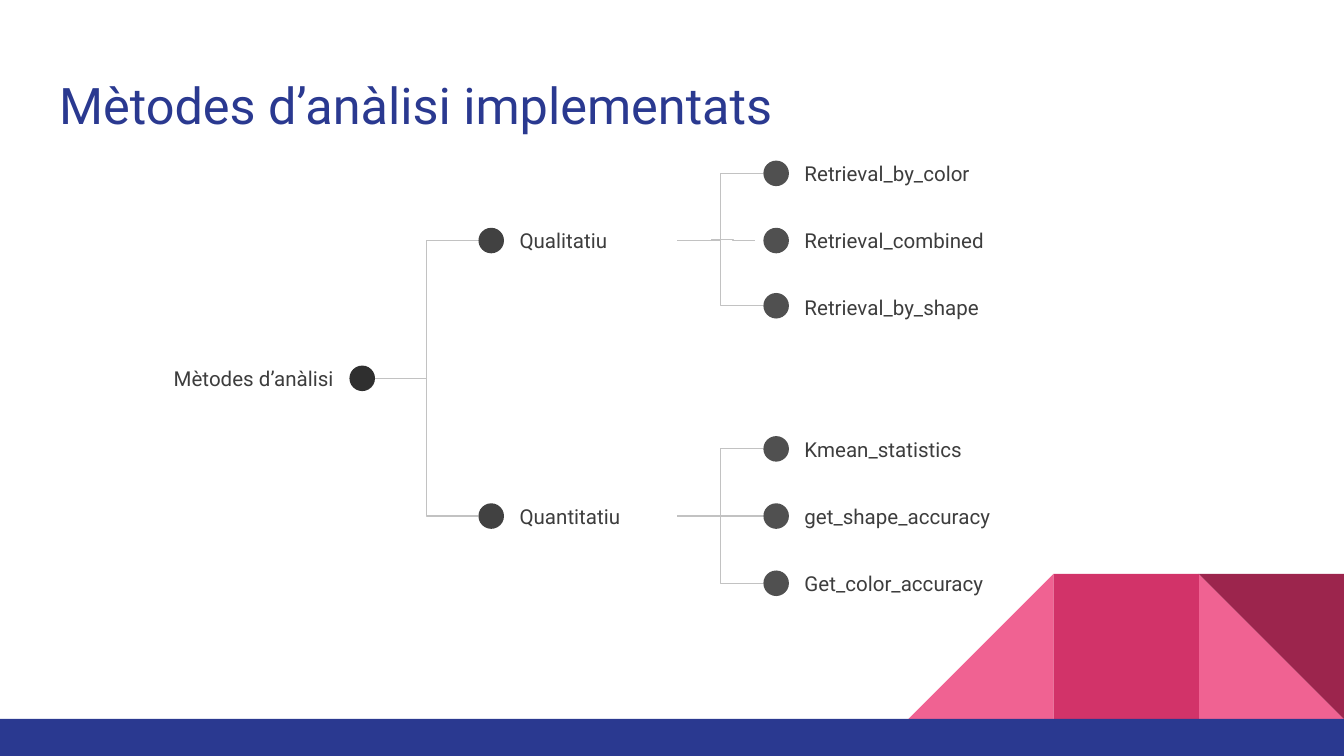
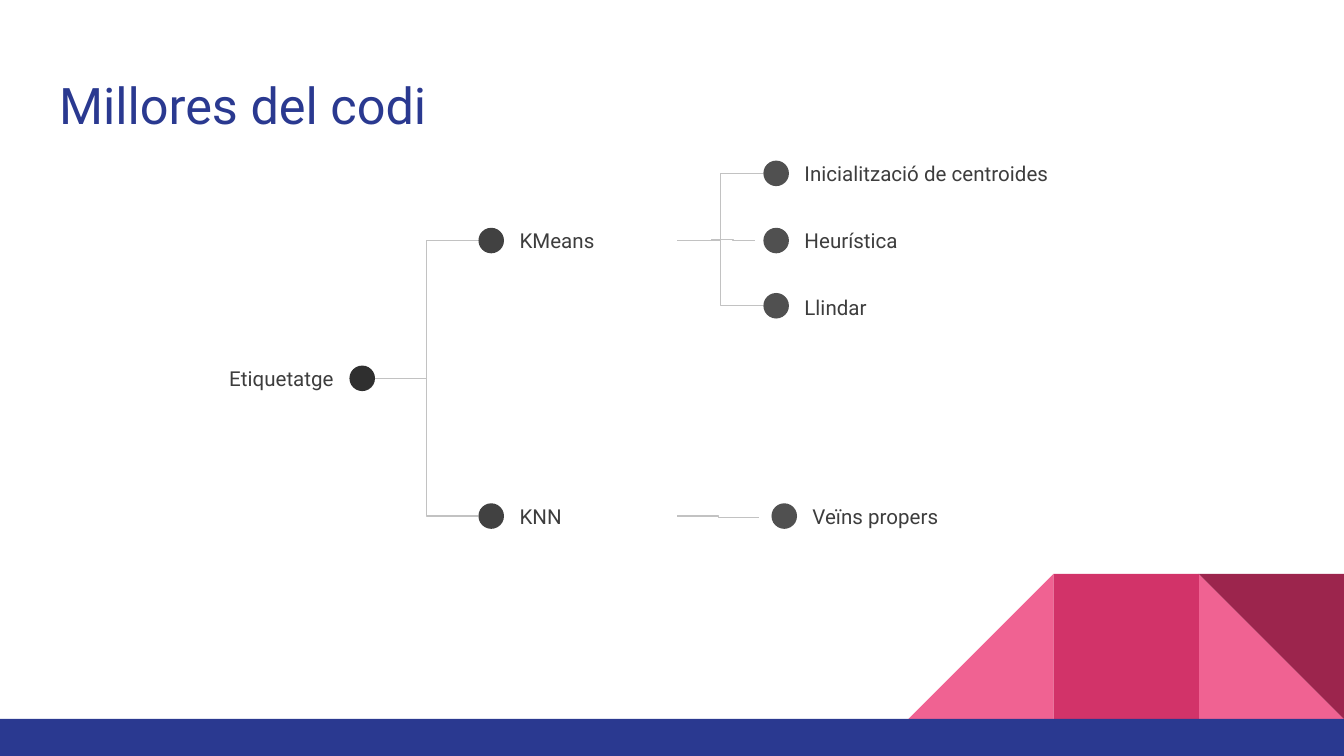
from dataclasses import dataclass

from lxml import etree
from pptx import Presentation
from pptx import util as u
from pptx.dml.color import RGBColor
from pptx.enum import shapes, text
from pptx.oxml.ns import qn


@dataclass(frozen=True)
class Theme:
    """Colours, font and type sizes shared by the slides."""
    font: str = "Roboto"
    title_size: int = 27
    label_size: int = 11
    navy: str = "2A3990"
    pink: str = "F06292"
    rose: str = "D23369"
    wine: str = "9C254D"
    ink: str = "3D3D3D"
    line: str = "C2C2C2"
    root_dot: str = "2F2F2F"
    branch_dot: str = "414141"
    leaf_dot: str = "505050"


@dataclass(frozen=True)
class Grid:
    """A box in inches, divided into columns and rows."""
    left: float
    top: float
    width: float
    height: float
    cols: int
    rows: int

    def x(self, col):
        """Return the horizontal place of a column."""
        return u.Inches(self.left + self.width * col / self.cols)

    def y(self, row):
        """Return the vertical place of a row."""
        return u.Inches(self.top + self.height * row / self.rows)

    def area(self, col, row, cols, rows):
        """Return left, top, width and height of a span of cells."""
        x, y = self.x(col), self.y(row)
        return x, y, self.x(col + cols) - x, self.y(row + rows) - y


@dataclass(frozen=True)
class Leaf:
    """A last-level node; link holds column and row offsets from its branch."""
    label: str
    row: float
    cols: float
    shift: float = 0
    dot_drop: float = 0
    link: tuple = ()


@dataclass(frozen=True)
class Branch:
    """A middle node with its leaves."""
    label: str
    row: float
    leaves: tuple


THEME = Theme()
WIDTH, HEIGHT = 10, 5.625
PAGE = Grid(0, 0, WIDTH, HEIGHT, 100, 100)
BLOCKS = Grid(6.76, 4.27, 3.24, 1.08, 3, 1)
TREE = Grid(0, 1.29, WIDTH, 3, 100, 6)
DOT, LABEL_ROWS = 1.9, 0.7
ROOT_DOT, BRANCH_DOT, LEAF_DOT = 26, 35.6, 56.8
BRANCH_COLS, ROOT_COLS = 12.9, 21.3
BRANCH_END = BRANCH_DOT + DOT + BRANCH_COLS
ROOT_ROW, UPPER_ROW, LOWER_ROW = 3.05, 1, 5.1
STUB = (2.5, -0.02, 5.8, 0)


def add_run(p, label, size, color):
    """Add one formatted run to a paragraph."""
    r = p.add_run()
    r.text = label
    r.font.name, r.font.size = THEME.font, u.Pt(size)
    r.font.color.rgb = RGBColor.from_string(color)


def add_shape(parent, kind, area, color=None):
    """Add a preset shape without outline or shadow."""
    sp = parent.add_shape(kind, *area)
    sp.shadow.inherit = False
    sp.line.fill.background()
    if color:
        sp.fill.solid()
        sp.fill.fore_color.rgb = RGBColor.from_string(color)
    else:
        sp.fill.background()
    return sp


def set_insets(tf):
    """Give a text frame equal insets."""
    tf.margin_left = tf.margin_right = tf.margin_top = tf.margin_bottom = u.Inches(0.1)


def add_decor(s, page, blocks):
    """Draw the corner blocks and the bottom band."""
    kinds = shapes.MSO_SHAPE
    add_shape(s.shapes, kinds.RIGHT_TRIANGLE, blocks.area(2, 0, 1, 1), THEME.pink)
    slope = add_shape(s.shapes, kinds.RIGHT_TRIANGLE, blocks.area(0, 0, 1, 1), THEME.pink)
    slope.element.spPr.xfrm.set("flipH", "1")
    add_shape(s.shapes, kinds.RECTANGLE, blocks.area(1, 0, 1, 1), THEME.rose)
    corner = add_shape(s.shapes, kinds.RIGHT_TRIANGLE, blocks.area(2, 0, 1, 1), THEME.wine)
    corner.rotation = 180
    add_shape(s.shapes, kinds.RECTANGLE, page.area(0, 95.1, 100, 4.9), THEME.navy)


def add_title(s, page, label):
    """Place and format the title placeholder."""
    sp = s.shapes.title
    sp.left, sp.top, sp.width, sp.height = page.area(3.4, 8, 93.2, 11.7)
    tf = sp.text_frame
    set_insets(tf)
    tf.word_wrap = True
    tf.auto_size = text.MSO_AUTO_SIZE.NONE
    tf.vertical_anchor = text.MSO_ANCHOR.TOP
    p = tf.paragraphs[0]
    p.alignment = text.PP_ALIGN.LEFT
    add_run(p, label, THEME.title_size, THEME.navy)


def add_link(s, grid, start, end):
    """Join two (column, row) points with an elbow connector."""
    c = s.shapes.add_connector(shapes.MSO_CONNECTOR.ELBOW,
                               grid.x(start[0]), grid.y(start[1]),
                               grid.x(end[0]), grid.y(end[1]))
    c.line.color.rgb = RGBColor.from_string(THEME.line)
    c.line.width = u.Pt(0.75)
    etree.SubElement(c.element.spPr, qn("a:effectLst"))


def add_node(s, grid, label, dot_col, row, cols, color, dot_drop=0, on_left=False):
    """Group a dot with the label beside it."""
    node = s.shapes.add_group_shape().shapes
    label_col = dot_col - cols if on_left else dot_col + DOT
    box = add_shape(node, shapes.MSO_SHAPE.ROUNDED_RECTANGLE,
                    grid.area(label_col, row - LABEL_ROWS / 2, cols, LABEL_ROWS))
    tf = box.text_frame
    set_insets(tf)
    tf.word_wrap = True
    tf.vertical_anchor = text.MSO_ANCHOR.MIDDLE
    p = tf.paragraphs[0]
    p.alignment = text.PP_ALIGN.RIGHT if on_left else text.PP_ALIGN.LEFT
    add_run(p, label, THEME.label_size, THEME.ink)
    size = grid.x(DOT) - grid.x(0)
    top = grid.y(row + dot_drop) - size // 2
    add_shape(node, shapes.MSO_SHAPE.OVAL, (grid.x(dot_col), top, size, size), color)


def add_tree(s, grid, root, branches):
    """Draw the links of the tree, then its nodes."""
    for b in branches:
        add_link(s, grid, (ROOT_DOT + DOT, ROOT_ROW), (BRANCH_DOT, b.row))
        for leaf in b.leaves:
            x1, y1, x2, y2 = leaf.link or (
                0, 0, LEAF_DOT - BRANCH_END, leaf.row + leaf.dot_drop - b.row)
            add_link(s, grid, (BRANCH_END + x1, b.row + y1), (BRANCH_END + x2, b.row + y2))
    add_node(s, grid, root, ROOT_DOT, ROOT_ROW, ROOT_COLS, THEME.root_dot, on_left=True)
    for b in branches:
        add_node(s, grid, b.label, BRANCH_DOT, b.row, BRANCH_COLS, THEME.branch_dot)
        for leaf in b.leaves:
            add_node(s, grid, leaf.label, LEAF_DOT + leaf.shift, leaf.row, leaf.cols,
                     THEME.leaf_dot, leaf.dot_drop)


def upper_branch(label, first, second, third):
    """Return the upper branch with its three leaves."""
    return Branch(label, UPPER_ROW, (
        Leaf(first, UPPER_ROW - 1, 22.5),
        Leaf(second, UPPER_ROW, 17.5, link=STUB),
        Leaf(third, UPPER_ROW + 1, 17.5, dot_drop=-0.03)))


def add_tree_slide(prs, title, root, branches):
    """Add a slide with a title, a tree and the shared decoration."""
    s = prs.slides.add_slide(prs.slide_layouts[5])
    add_decor(s, PAGE, BLOCKS)
    add_title(s, PAGE, title)
    add_tree(s, TREE, root, branches)


def main():
    """Build and save the presentation."""
    prs = Presentation()
    prs.slide_width, prs.slide_height = u.Inches(WIDTH), u.Inches(HEIGHT)
    add_tree_slide(prs, "Mètodes d’anàlisi implementats", "Mètodes d’anàlisi", (
        upper_branch("Qualitatiu", "Retrieval_by_color", "Retrieval_combined",
                     "Retrieval_by_shape"),
        Branch("Quantitatiu", LOWER_ROW, (
            Leaf("Kmean_statistics", LOWER_ROW - 1, 19.4),
            Leaf("get_shape_accuracy", LOWER_ROW, 19.4, link=(2.5, 0, 6.4, 0)),
            Leaf("Get_color_accuracy", LOWER_ROW + 1, 16.4)))))
    add_tree_slide(prs, "Millores del codi", "Etiquetatge", (
        upper_branch("KMeans", "Inicialització de centroides", "Heurística", "Llindar"),
        Branch("KNN", LOWER_ROW, (
            Leaf("Veïns propers", LOWER_ROW, 16.4, shift=0.6, link=(0, 0, 6.1, 0.02)),))))
    prs.save("out.pptx")


if __name__ == "__main__":
    main()
